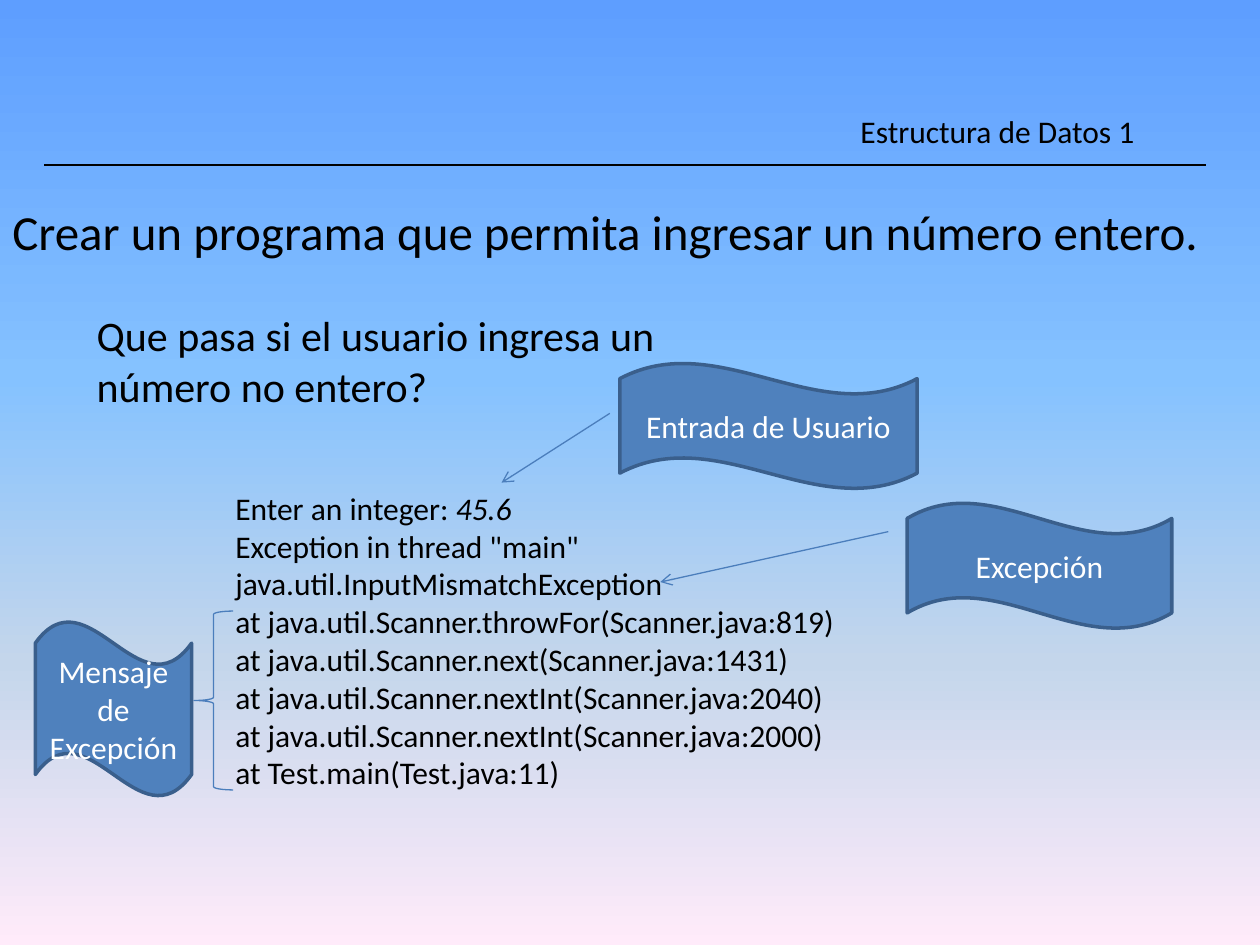
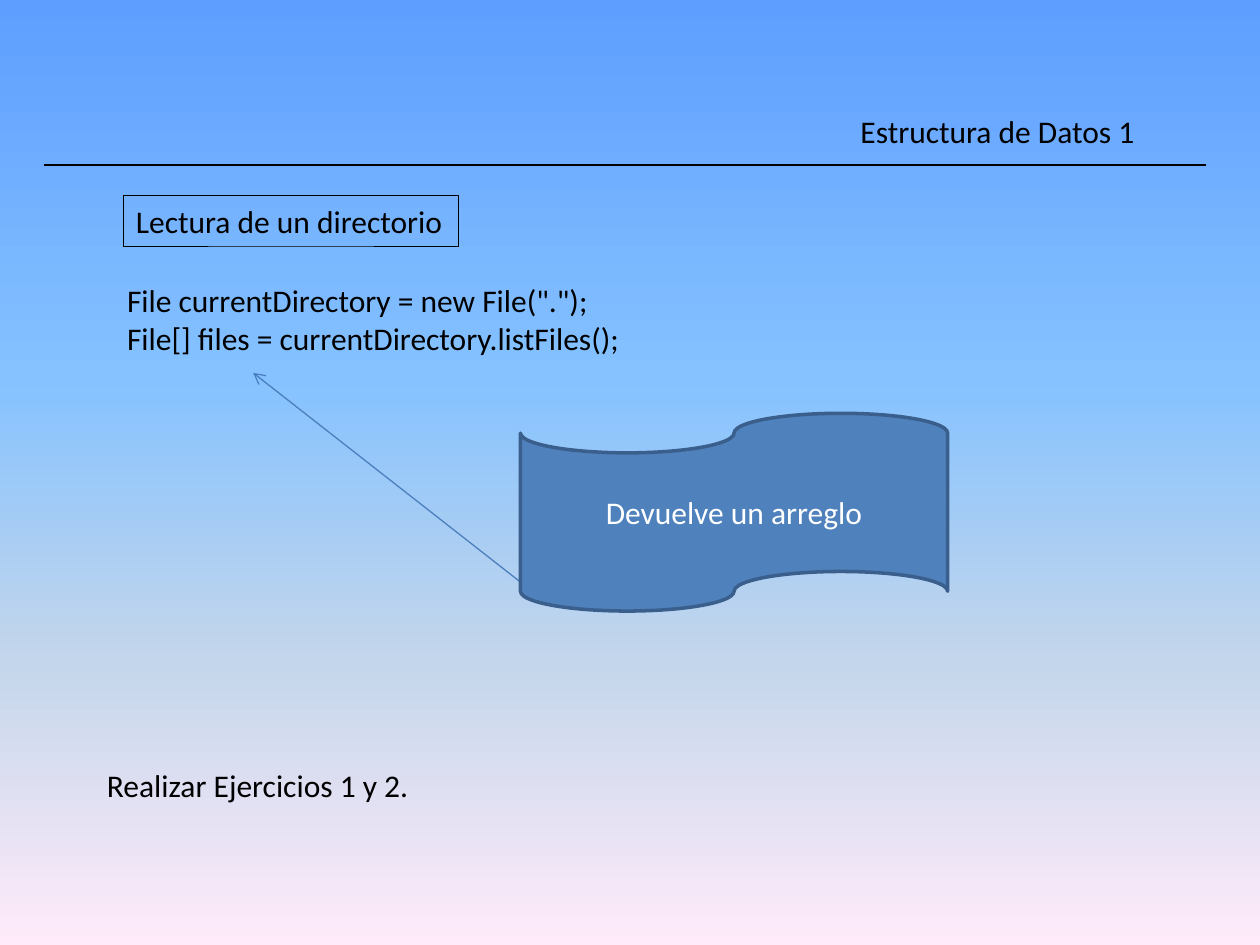
"""Build two Java course slides on exceptions and directory listing."""
from lxml.etree import SubElement
from pptx import Presentation
from pptx.dml.color import RGBColor
from pptx.enum.shapes import MSO_CONNECTOR, MSO_SHAPE
from pptx.enum.text import MSO_ANCHOR, MSO_AUTO_SIZE, PP_ALIGN
from pptx.oxml.ns import qn
from pptx.util import Pt

BLACK = RGBColor(0x00, 0x00, 0x00)
WHITE = RGBColor(0xFF, 0xFF, 0xFF)
BLUE = RGBColor(0x4F, 0x81, 0xBD)
DARK_BLUE = RGBColor(0x3A, 0x5F, 0x8C)
ARROW_BLUE = RGBColor(0x4B, 0x7E, 0xBC)
SKY = (
    (0, RGBColor(0x5E, 0x9E, 0xFF)),
    (40, RGBColor(0x85, 0xC2, 0xFF)),
    (70, RGBColor(0xC4, 0xD6, 0xEB)),
    (100, RGBColor(0xFF, 0xEB, 0xFA)),
)
FONT = "Calibri"
COURSE = "Estructura de Datos 1"


def write_text(frame, *lines, size=18, color=BLACK, align=PP_ALIGN.LEFT,
               anchor=MSO_ANCHOR.TOP, wrap=True, grow=True, italic_end=""):
    """Write one paragraph per line; italic_end closes the first line in italics."""
    frame.word_wrap = wrap
    frame.auto_size = MSO_AUTO_SIZE.SHAPE_TO_FIT_TEXT if grow else MSO_AUTO_SIZE.NONE
    frame.vertical_anchor = anchor
    for index, line in enumerate(lines):
        paragraph = frame.paragraphs[0] if index == 0 else frame.add_paragraph()
        paragraph.alignment = align
        pieces = [(line, False)]
        if index == 0 and italic_end:
            pieces.append((italic_end, True))
        for words, italic in pieces:
            run = paragraph.add_run()
            run.text = words
            run.font.name = FONT
            run.font.size = Pt(size)
            run.font.italic = italic
            run.font.color.rgb = color


class Deck:
    """Hold the shared style and the slide being drawn."""

    def __init__(self):
        """Start a 4:3 presentation."""
        self.presentation = Presentation()
        self.presentation.slide_width = Pt(720)
        self.presentation.slide_height = Pt(540)
        self.slide = None

    def new_slide(self):
        """Add a blank slide with the sky background and course header."""
        blank = self.presentation.slide_layouts[6]
        self.slide = self.presentation.slides.add_slide(blank)
        self.paint_sky()
        self.line((25.2, 94.3), (689, 94.3), color=BLACK, weight=1)
        self.text((484.6, 60.5, 172.8, 29), COURSE, wrap=False)

    def paint_sky(self):
        """Fill the background with a gradient running from top to bottom."""
        fill = self.slide.background.fill
        fill.gradient()
        fill.gradient_angle = 270
        stops = self.slide.element.find(".//" + qn("a:gsLst"))
        for stop in list(stops):
            stops.remove(stop)
        for percent, color in SKY:
            stop = SubElement(stops, qn("a:gs"), pos=str(percent * 1000))
            SubElement(stop, qn("a:srgbClr"), val=str(color))

    def text(self, box, *lines, border=None, **style):
        """Add a text box, with a thin border if a colour is given."""
        label = self.slide.shapes.add_textbox(*map(Pt, box))
        if border is not None:
            label.line.color.rgb = border
            label.line.width = Pt(0.25)
        write_text(label.text_frame, *lines, **style)

    def shape(self, preset, box, fill=None, color=ARROW_BLUE, weight=0.75):
        """Add an outlined preset shape, unfilled unless a fill is given."""
        figure = self.slide.shapes.add_shape(preset, *map(Pt, box))
        figure.shadow.inherit = False
        if fill is None:
            figure.fill.background()
        else:
            figure.fill.solid()
            figure.fill.fore_color.rgb = fill
        figure.line.color.rgb = color
        figure.line.width = Pt(weight)
        return figure

    def callout(self, box, words, preset=MSO_SHAPE.WAVE):
        """Add a blue flag with centred white words."""
        flag = self.shape(preset, box, fill=BLUE, color=DARK_BLUE, weight=2)
        write_text(flag.text_frame, words, color=WHITE, align=PP_ALIGN.CENTER,
                   anchor=MSO_ANCHOR.MIDDLE, grow=False)

    def line(self, start, end, color=ARROW_BLUE, weight=0.75):
        """Add a straight line without shadow."""
        rule = self.slide.shapes.add_connector(
            MSO_CONNECTOR.STRAIGHT, *map(Pt, start + end))
        rule.line.color.rgb = color
        rule.line.width = Pt(weight)
        SubElement(rule.element.spPr, qn("a:effectLst"))
        return rule

    def arrow(self, start, end):
        """Add a line with an open arrowhead at its end."""
        pointer = self.line(start, end)
        SubElement(pointer.line._get_or_add_ln(), qn("a:tailEnd"), type="arrow")


def exception_slide(deck):
    """Show what happens when the input is not an integer."""
    deck.new_slide()
    deck.text((0, 111.6, 699.1, 41),
              "Crear un programa que permita ingresar un número entero.",
              size=28, wrap=False)
    deck.text((48.2, 173.5, 360, 65.5),
              "Que pasa si el usuario ingresa un número no entero?", size=24)
    deck.text((127.4, 275.8, 360, 181.4),
              "Enter an integer: ",
              'Exception in thread "main" java.util.InputMismatchException',
              "at java.util.Scanner.throwFor(Scanner.java:819)",
              "at java.util.Scanner.next(Scanner.java:1431)",
              "at java.util.Scanner.nextInt(Scanner.java:2040)",
              "at java.util.Scanner.nextInt(Scanner.java:2000)",
              "at Test.main(Test.java:11)",
              italic_end="45.6")
    deck.arrow((348.5, 236.2), (286.6, 275.8))
    deck.callout((354.2, 207.4, 169.9, 72), "Entrada de Usuario")
    deck.callout((518.4, 287.3, 151.2, 72), "Excepción")
    deck.arrow((507.6, 303.8), (377.3, 332.6))
    deck.shape(MSO_SHAPE.LEFT_BRACE, (110.9, 349.2, 22.3, 102.2))
    deck.callout((20.2, 355, 89.3, 100.1), "Mensaje de Excepción")


def directory_slide(deck):
    """Show how to list the files of a directory."""
    deck.new_slide()
    deck.text((65.5, 157, 440.6, 51.1),
              'File currentDirectory = new File(".");',
              "File[] files = currentDirectory.listFiles();")
    deck.text((70.6, 111.6, 191.5, 29), "Lectura de un directorio",
              border=BLACK, wrap=False)
    deck.arrow((297.4, 332.6), (144.7, 213.1))
    deck.callout((297.4, 236.2, 244.1, 113), "Devuelve un arreglo",
                 preset=MSO_SHAPE.FLOWCHART_PUNCHED_TAPE)
    deck.text((54, 434.2, 188.6, 29), "Realizar Ejercicios 1 y 2.", wrap=False)


course = Deck()
exception_slide(course)
directory_slide(course)
course.presentation.save("out.pptx")
